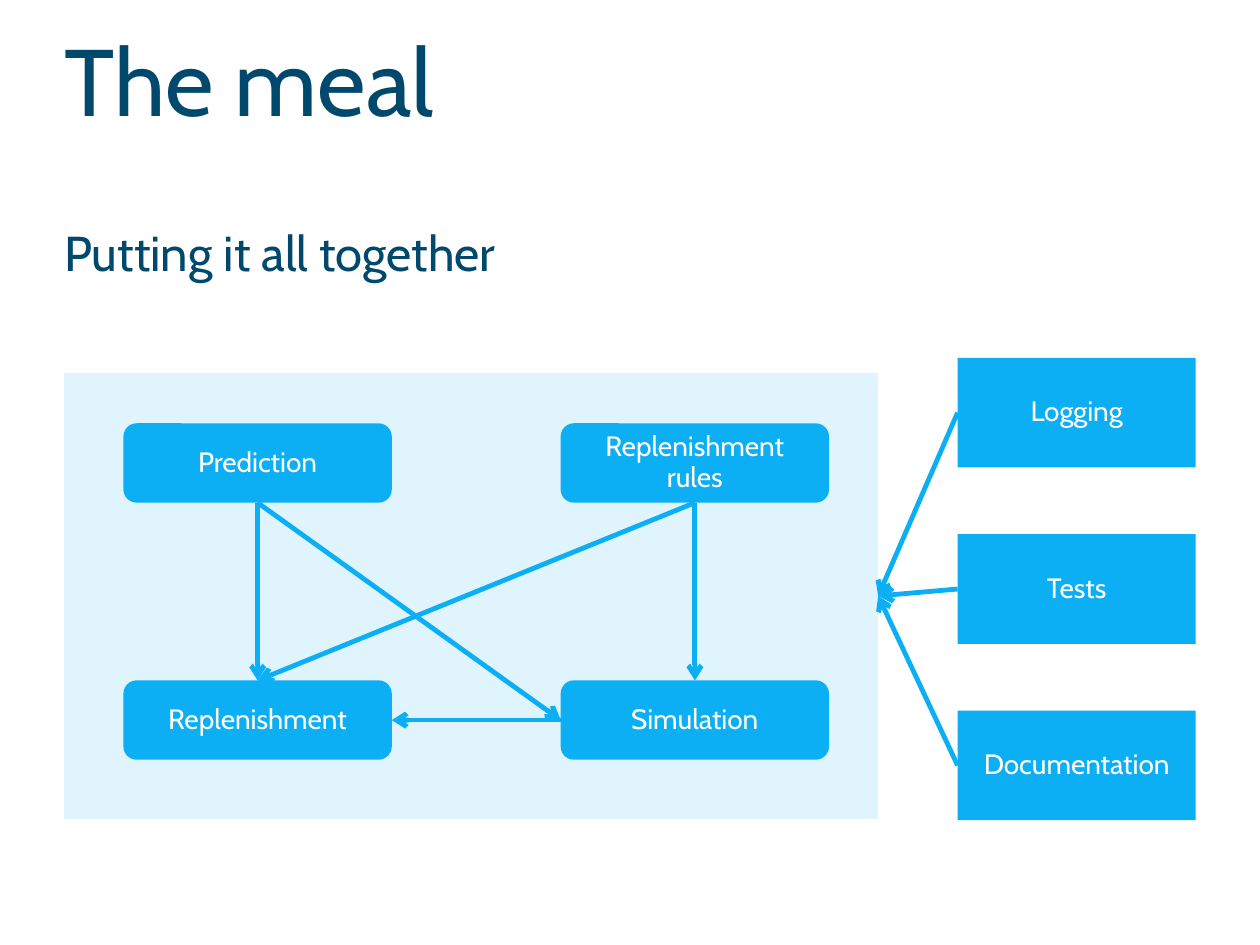
from lxml import etree
from pptx import Presentation
from pptx.dml.color import RGBColor
from pptx.enum.shapes import MSO_CONNECTOR, MSO_SHAPE
from pptx.enum.text import MSO_ANCHOR, MSO_AUTO_SIZE, PP_ALIGN
from pptx.oxml.ns import qn
from pptx.util import Inches, Pt

NAVY = RGBColor(0x00, 0x49, 0x6C)
BLUE = RGBColor(0x0C, 0xAE, 0xF4)
WHITE = RGBColor(0xFF, 0xFF, 0xFF)
TOP, LEFT, BOTTOM, RIGHT = range(4)


def write(frame, text, *, size, color, align=PP_ALIGN.LEFT, anchor=MSO_ANCHOR.TOP,
          spacing=0.8, before=0, after=0, margins=(0, 0, 0, 0)):
    """Fill a text frame with one formatted paragraph; margins run left, top, right, bottom."""
    frame.word_wrap = True
    frame.auto_size = MSO_AUTO_SIZE.NONE
    frame.vertical_anchor = anchor
    (frame.margin_left, frame.margin_top,
     frame.margin_right, frame.margin_bottom) = map(Inches, margins)
    paragraph = frame.paragraphs[0]
    paragraph.alignment = align
    paragraph.line_spacing = spacing
    paragraph.space_before, paragraph.space_after = Pt(before), Pt(after)
    run = paragraph.add_run()
    run.text = text
    run.font.name = "Cabin"
    run.font.size = Pt(size)
    run.font.color.rgb = color


class Diagram:
    def __init__(self, slide):
        self.slide = slide

    def title(self, text, box):
        title = self.slide.shapes.title
        title.left, title.top, title.width, title.height = map(Inches, box)
        write(title.text_frame, text, size=54, color=NAVY, margins=(0, 0.35, 0, 0))

    def subtitle(self, text, box):
        subtitle = self.slide.shapes.add_textbox(*map(Inches, box))
        write(subtitle.text_frame, text, size=28, color=NAVY, before=2, after=4)

    def block(self, kind, box):
        block = self.slide.shapes.add_shape(kind, *map(Inches, box))
        block.shadow.inherit = False
        block.fill.solid()
        block.fill.fore_color.rgb = BLUE
        block.line.fill.background()
        return block

    def panel(self, box, opacity):
        panel = self.block(MSO_SHAPE.RECTANGLE, box)
        color = panel.element.spPr.find(qn("a:solidFill")).find(qn("a:srgbClr"))
        etree.SubElement(color, qn("a:alpha"), val=str(opacity * 1000))
        return panel

    def node(self, text, box, kind=MSO_SHAPE.RECTANGLE):
        node = self.block(kind, box)
        write(node.text_frame, text, size=16, color=WHITE, align=PP_ALIGN.CENTER,
              anchor=MSO_ANCHOR.MIDDLE, spacing=0.9, before=2, after=4, margins=(0.08,) * 4)
        return node

    def arrow(self, source, source_side, target, target_side):
        arrow = self.slide.shapes.add_connector(MSO_CONNECTOR.STRAIGHT, 0, 0, 0, 0)
        arrow.begin_connect(source, source_side)
        arrow.end_connect(target, target_side)
        arrow.line.color.rgb = BLUE
        arrow.line.width = Pt(2.75)
        properties = arrow.element.spPr
        etree.SubElement(properties.find(qn("a:ln")), qn("a:tailEnd"), type="arrow")
        etree.SubElement(properties, qn("a:effectLst"))


def main():
    presentation = Presentation()
    presentation.slide_width, presentation.slide_height = Inches(10), Inches(7.5)
    diagram = Diagram(presentation.slides.add_slide(presentation.slide_layouts[5]))

    core = diagram.panel((0.51, 2.96, 6.46, 3.54), opacity=13)
    diagram.subtitle("Putting it all together", (0.51, 1.86, 8.98, 0.8))
    diagram.title("The meal", (0.51, 0, 8.98, 1.85))

    left_column, right_column = 0.98, 4.45
    upper_row, lower_row = 3.36, 5.4
    prediction, rules, replenishment, simulation = (
        diagram.node(text, (left, top, 2.13, 0.63), MSO_SHAPE.ROUNDED_RECTANGLE)
        for text, left, top in (
            ("Prediction", left_column, upper_row),
            ("Replenishment rules", right_column, upper_row),
            ("Replenishment", left_column, lower_row),
            ("Simulation", right_column, lower_row),
        )
    )
    for link in (
        (prediction, BOTTOM, replenishment, TOP),
        (prediction, BOTTOM, simulation, LEFT),
        (rules, BOTTOM, simulation, TOP),
        (simulation, LEFT, replenishment, RIGHT),
        (rules, BOTTOM, replenishment, TOP),
    ):
        diagram.arrow(*link)

    for row, text in enumerate(("Logging", "Tests", "Documentation")):
        support = diagram.node(text, (7.6, 2.84 + 1.4 * row, 1.89, 0.87))
        diagram.arrow(support, LEFT, core, RIGHT)

    presentation.save("out.pptx")


if __name__ == "__main__":
    main()
